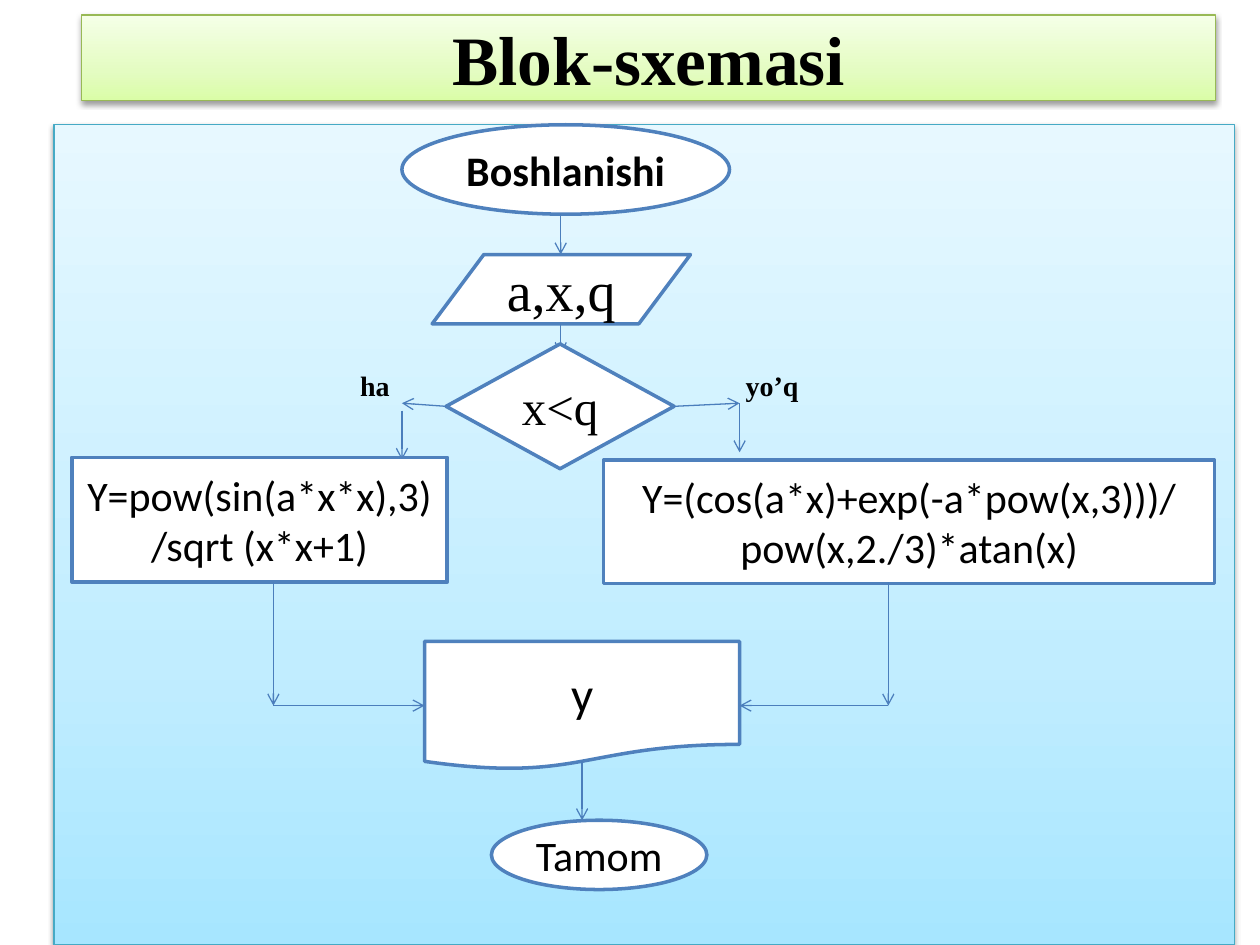
from copy import deepcopy

from pptx import Presentation
from pptx.dml.color import RGBColor
from pptx.enum.shapes import MSO_CONNECTOR, MSO_SHAPE
from pptx.enum.text import MSO_ANCHOR, PP_ALIGN
from pptx.oxml import parse_xml
from pptx.oxml.ns import nsdecls, qn
from pptx.util import Inches, Pt

RECT, ELLIPSE = MSO_SHAPE.RECTANGLE, MSO_SHAPE.OVAL
INPUT, DECISION = MSO_SHAPE.FLOWCHART_DATA, MSO_SHAPE.FLOWCHART_DECISION
DOCUMENT = MSO_SHAPE.FLOWCHART_DOCUMENT
STRAIGHT = MSO_CONNECTOR.STRAIGHT
CENTER, LEFT = PP_ALIGN.CENTER, PP_ALIGN.LEFT
MIDDLE = MSO_ANCHOR.MIDDLE
LEFT_SIDE, RIGHT_SIDE = 1, 3

BLACK = RGBColor(0x00, 0x00, 0x00)
WHITE = RGBColor(0xFF, 0xFF, 0xFF)
BLUE = RGBColor(0x4F, 0x81, 0xBD)
ARROW_BLUE = RGBColor(0x4B, 0x7E, 0xBC)
GREEN_LINE = RGBColor(0x98, 0xB9, 0x55)
AQUA_LINE = RGBColor(0x46, 0xAA, 0xC5)
GREENS = [RGBColor(0xDA, 0xFD, 0xA7), RGBColor(0xE4, 0xFC, 0xC2),
          RGBColor(0xF5, 0xFF, 0xE7)]
AQUAS = [RGBColor(0xA7, 0xE6, 0xFF), RGBColor(0xC1, 0xED, 0xFF),
         RGBColor(0xE7, 0xF8, 0xFF)]
STOPS = (0, 0.35, 1)

SANS, SERIF = "Calibri", "Times New Roman"
COLS, ROWS = 100, 75  # grid cells across and down the slide


def write(sp, text, size=24, font=SANS, bold=False, align=CENTER):
    tf = sp.text_frame
    tf.word_wrap = True
    tf.vertical_anchor = MIDDLE
    p = tf.paragraphs[0]
    p.alignment = align
    r = p.add_run()
    r.text = text
    r.font.size, r.font.name, r.font.bold = Pt(size), font, bold
    r.font.color.rgb = BLACK


class Flowchart:
    def __init__(self, prs):
        self.s = prs.slides.add_slide(prs.slide_layouts[6])
        self.col, self.row = prs.slide_width / COLS, prs.slide_height / ROWS

    def place(self, *cells):
        """Turn alternating columns and rows into slide lengths."""
        return [round(c * (self.row if i % 2 else self.col))
                for i, c in enumerate(cells)]

    def shape(self, kind, box, line, width):
        sp = self.s.shapes.add_shape(kind, *self.place(*box))
        sp.shadow.inherit = False
        sp.line.color.rgb, sp.line.width = line, Pt(width)
        return sp

    def panel(self, box, colors, line):
        """Rectangle with an upward gradient and a soft shadow."""
        sp = self.shape(RECT, box, line, 0.75)
        sp.fill.gradient()
        sp.fill.gradient_angle = 90
        stops = sp._element.spPr.find(".//" + qn("a:gsLst"))
        stops.append(deepcopy(stops[0]))
        for stop, color, position in zip(sp.fill.gradient_stops, colors, STOPS):
            stop.color.rgb, stop.position = color, position
        sp._element.spPr.find(qn("a:effectLst")).append(parse_xml(
            f'<a:outerShdw {nsdecls("a")} blurRad="40000" dist="20000" '
            'dir="5400000" rotWithShape="0"><a:srgbClr val="000000">'
            '<a:alpha val="38000"/></a:srgbClr></a:outerShdw>'))
        return sp

    def node(self, kind, box, text, **style):
        sp = self.shape(kind, box, BLUE, 2)
        sp.fill.solid()
        sp.fill.fore_color.rgb = WHITE
        write(sp, text, **style)
        return sp

    def label(self, box, text):
        sp = self.s.shapes.add_textbox(*self.place(*box))
        write(sp, text, size=16, font=SERIF, bold=True, align=LEFT)

    def arrow(self, start, end, begin=None, finish=None):
        """Arrow between two points; begin and finish are (shape, side)."""
        c = self.s.shapes.add_connector(STRAIGHT, *self.place(*start, *end))
        if begin:
            c.begin_connect(*begin)
        if finish:
            c.end_connect(*finish)
        c.line.color.rgb, c.line.width = ARROW_BLUE, Pt(0.75)
        c.line._get_or_add_ln().append(
            parse_xml(f'<a:tailEnd {nsdecls("a")} type="arrow"/>'))
        c._element.spPr.append(parse_xml(f'<a:effectLst {nsdecls("a")}/>'))


def main():
    prs = Presentation()
    prs.slide_width, prs.slide_height = Inches(10), Inches(7.5)
    chart = Flowchart(prs)

    # Title and background panel
    title = chart.panel((6.5, 1.2, 90, 6.8), GREENS, GREEN_LINE)
    write(title, "Blok-sxemasi", size=39.6, font=SERIF, bold=True)
    chart.panel((4.3, 9.9, 93.7, 65.1), AQUAS, AQUA_LINE)
    chart.label((27.6, 28.8, 6, 3.6), "ha")
    chart.label((58.2, 28.8, 8, 3.6), "yo’q")

    # Start, input and condition
    axis = 44.5
    chart.node(ELLIPSE, (31.9, 9.9, 26, 7.1), "Boshlanishi", bold=True)
    chart.arrow((axis, 17), (axis, 20.2))
    chart.node(INPUT, (34.3, 20.2, 20.5, 5.5), "a,x,q", size=32, font=SERIF)
    chart.arrow((axis, 25.7), (axis, 28.1))
    test = chart.node(DECISION, (35.4, 27.3, 18.1, 9.9), "x<q",
                      size=28, font=SERIF)

    # Branches
    yes, no, turn = 31.9, 58.7, 32
    chart.arrow((53.5, 32.2), (no, turn), begin=(test, RIGHT_SIDE))
    chart.arrow((35.4, 32.2), (yes, turn), begin=(test, LEFT_SIDE))
    chart.arrow((yes, 32.6), (yes, 36.5))
    chart.arrow((no, turn), (no, 35.9))
    chart.node(RECT, (5.7, 36.3, 29.8, 9.9), "Y=pow(sin(a*x*x),3)/sqrt (x*x+1)")
    chart.node(RECT, (47.9, 36.5, 48.5, 9.8),
               "Y=(cos(a*x)+exp(-a*pow(x,3)))/pow(x,2./3)*atan(x)")

    # Output, joined by both branches
    output = chart.node(DOCUMENT, (33.7, 50.9, 25, 10.2), "y", size=28)
    join = 56
    for x, edge, side in ((70.5, 58.7, RIGHT_SIDE), (21.7, 33.7, LEFT_SIDE)):
        chart.arrow((x, 46.2), (x, join))
        chart.arrow((x, join), (edge, join), finish=(output, side))

    # End
    chart.arrow((46.2, 60.4), (46.2, 65.1))
    chart.node(ELLIPSE, (39, 65.1, 17.1, 5.5), "Tamom")

    prs.save("out.pptx")


if __name__ == "__main__":
    main()
